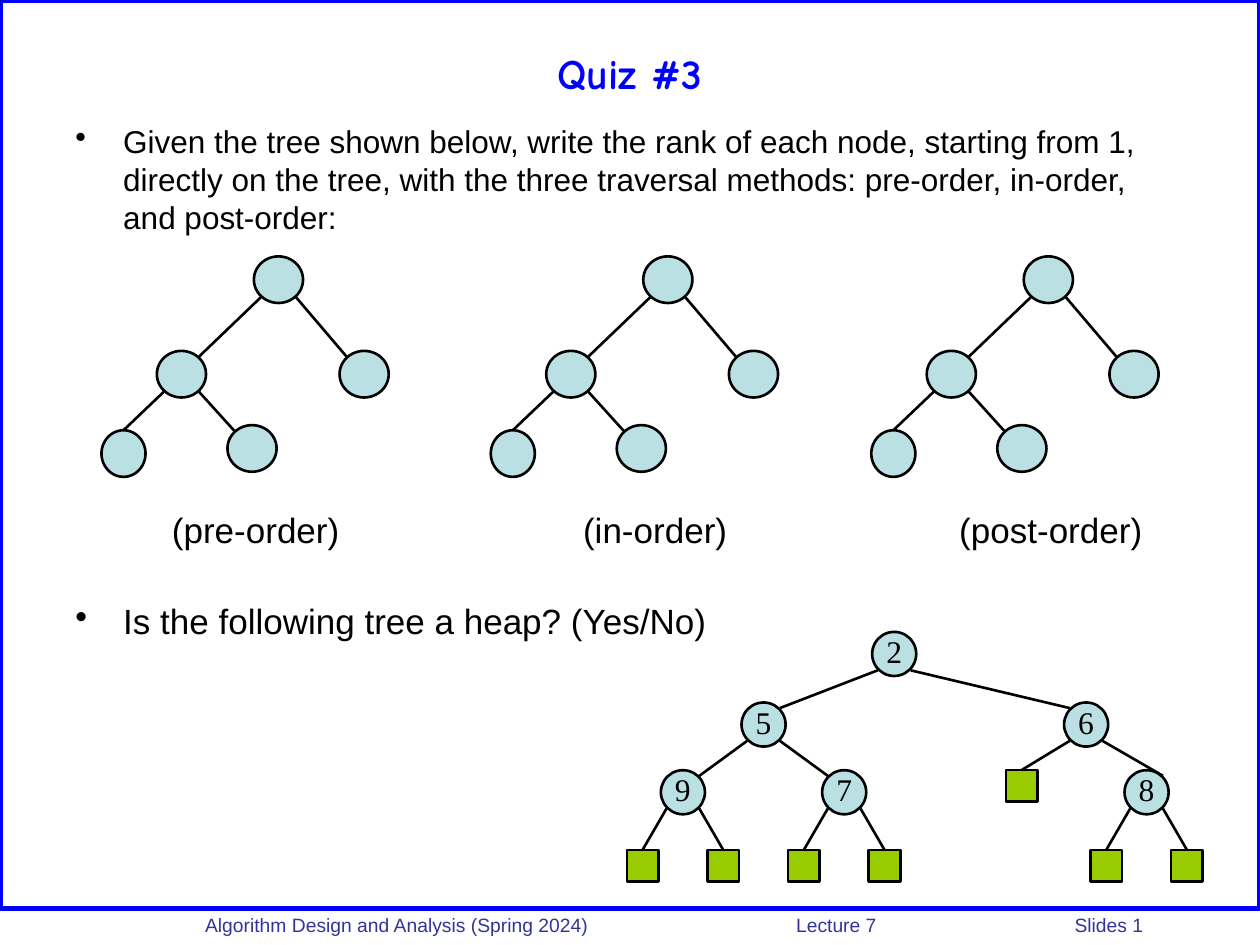
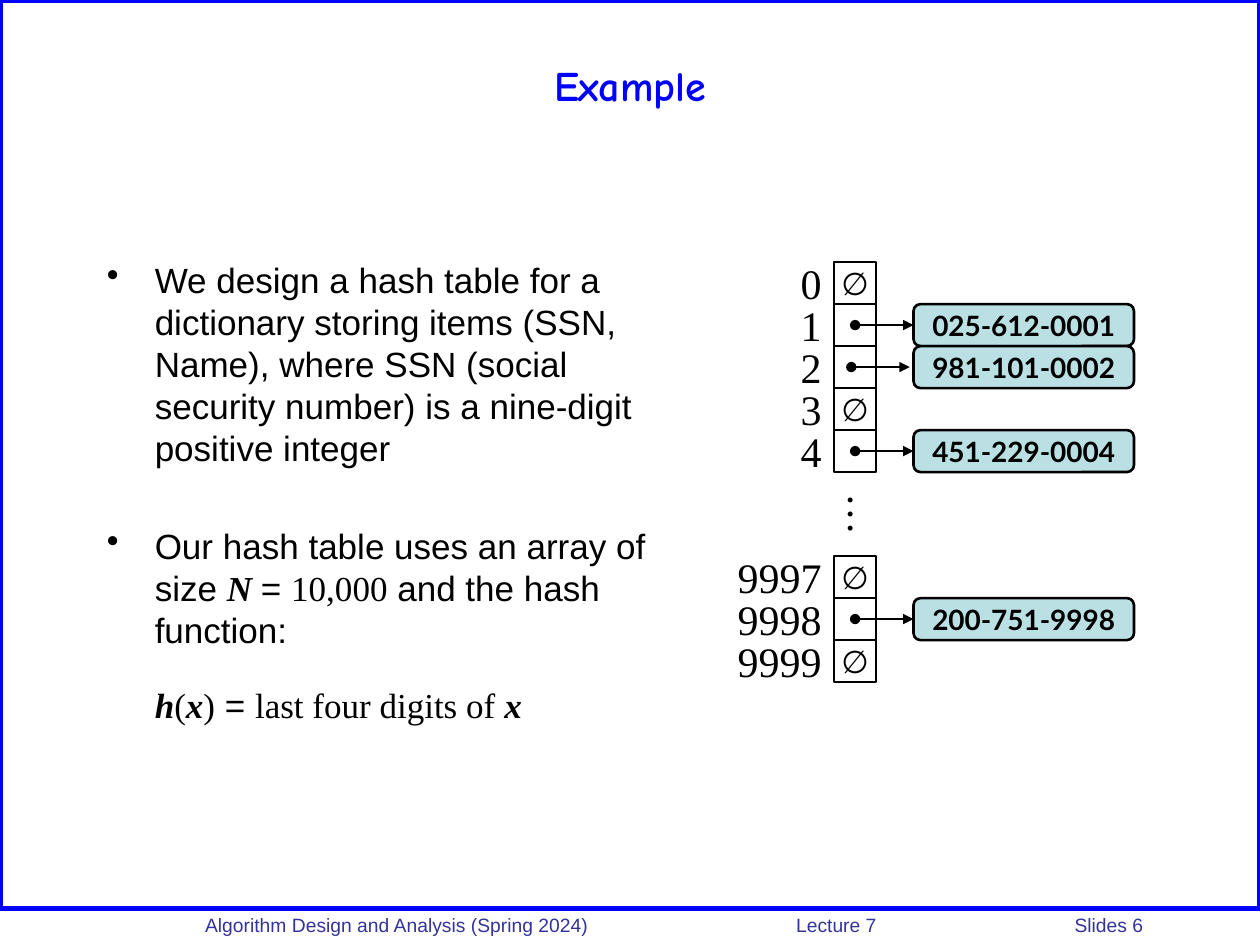
from lxml import etree
from pptx import Presentation
from pptx.dml.color import RGBColor
from pptx.enum.shapes import MSO_CONNECTOR, MSO_SHAPE
from pptx.enum.text import MSO_ANCHOR, PP_ALIGN
from pptx.oxml.ns import qn
from pptx.util import Inches, Pt

BLUE = RGBColor(0x00, 0x00, 0xFF)
NAVY = RGBColor(0x33, 0x33, 0x99)
BLACK = RGBColor(0x00, 0x00, 0x00)
AQUA = RGBColor(0xBB, 0xE0, 0xE3)
LIME = RGBColor(0x99, 0xCC, 0x00)

RECT = MSO_SHAPE.RECTANGLE
ROUND = MSO_SHAPE.ROUNDED_RECTANGLE
OVAL = MSO_SHAPE.OVAL
STRAIGHT = MSO_CONNECTOR.STRAIGHT
LEFT, CENTER, RIGHT = PP_ALIGN.LEFT, PP_ALIGN.CENTER, PP_ALIGN.RIGHT
TOP, MIDDLE = MSO_ANCHOR.TOP, MSO_ANCHOR.MIDDLE

SANS, SERIF, COMIC, LATO = "Arial", "Times New Roman", "Comic Neue", "Lato"
WIDE, HIGH = 10, 7.5
HANG = 0.38

SMALL = {
    "root": (12.3, 0, OVAL, 0.39, 0.37, ""),
    "right": (19.1, 5, OVAL, 0.39, 0.37, ""),
    "left": (4.6, 5, OVAL, 0.39, 0.37, ""),
    "inner": (10.2, 8.93, OVAL, 0.39, 0.37, ""),
    "leaf": (0, 9.2, OVAL, 0.35, 0.37, ""),
}
SMALL_LINKS = [
    ("root", "left", -1, 1), ("root", "right", 1, -1),
    ("left", "leaf", -1, 0), ("left", "inner", 1, -1),
]

HEAP = {
    key: (col, row, OVAL, 0.35, 0.35, key)
    for key, col, row in [
        ("2", 6.24, 0), ("5", 3, 1), ("6", 11, 1),
        ("9", 1, 1.96), ("7", 5, 1.96), ("8", 12.5, 1.96),
    ]
}
HEAP["6L"] = (9.4, 1.87, RECT, 0.25, 0.25, "")
HEAP_LINKS = [
    ("2", "5", -1, 1), ("2", "6", 1, -1),
    ("5", "9", -1, 1), ("5", "7", 1, -1),
    ("6", "6L", -1, 0), ("6", "8", 1, 1),
]
for key in "978":
    for tag, side in (("L", -1), ("R", 1)):
        HEAP[key + tag] = (HEAP[key][0] + side, 3, RECT, 0.25, 0.25, "")
        HEAP_LINKS.append((key, key + tag, side, 0))

ITEMS = [
    (0, "0", None, 0), (1, "1", "025-612-0001", 0),
    (2, "2", "981-101-0002", -0.03), (3, "3", None, 0),
    (4, "4", "451-229-0004", 0), (7, "9997", None, 0),
    (8, "9998", "200-751-9998", 0), (9, "9999", None, 0),
]


def inches(*sizes):
    return [Inches(size) for size in sizes]


def add_run(para, text, size, font=SANS, color=BLACK, bold=False, slant=False):
    run = para.add_run()
    run.text = text
    run.font.size = Pt(size)
    run.font.name = font
    run.font.color.rgb = color
    run.font.bold = bold
    run.font.italic = slant


def write(shape, text, size, font=SANS, align=CENTER, anchor=MIDDLE, **look):
    frame = shape.text_frame
    frame.word_wrap = False
    frame.vertical_anchor = anchor
    para = frame.paragraphs[0]
    para.alignment = align
    add_run(para, text, size, font, **look)


def add_form(slide, kind, box, fill=None, line=BLACK, width=1.5):
    shape = slide.shapes.add_shape(kind, *inches(*box))
    shape.shadow.inherit = False
    if fill is None:
        shape.fill.background()
    else:
        shape.fill.solid()
        shape.fill.fore_color.rgb = fill
    shape.line.color.rgb = line
    shape.line.width = Pt(width)
    return shape


def add_text(slide, box):
    return slide.shapes.add_textbox(*inches(*box))


def add_line(slide, start, end):
    line = slide.shapes.add_connector(STRAIGHT, *inches(*start, *end))
    line.line.color.rgb = BLACK
    line.line.width = Pt(1.5)
    etree.SubElement(line._element.spPr, qn("a:effectLst"))
    return line


def add_heads(line):
    stroke = line.line._get_or_add_ln()
    for tag, kind in (("a:headEnd", "oval"), ("a:tailEnd", "triangle")):
        etree.SubElement(stroke, qn(tag)).set("type", kind)


def add_body(slide, box, paras, size):
    frame = add_text(slide, box).text_frame
    frame.word_wrap = True
    for num, (bullet, gap, runs) in enumerate(paras):
        para = frame.add_paragraph() if num else frame.paragraphs[0]
        props = para._p.get_or_add_pPr()
        props.set("marL", str(Inches(HANG)))
        if bullet:
            props.set("indent", str(-Inches(HANG)))
            etree.SubElement(props, qn("a:buChar")).set("char", "•")
        para.line_spacing = Pt(size * 1.2)
        if gap:
            para.space_before = Pt(gap)
        for text, font, strong in runs:
            add_run(para, text, size, font, bold=strong, slant=strong)


def add_page(deck, title, top, number):
    slide = deck.slides.add_slide(deck.slide_layouts[5])
    add_form(slide, RECT, (0, 0, WIDE, 7.21), line=BLUE, width=3)
    add_footer(slide, (1.33, 7.2, 8.67, 0.26), number)
    head = slide.shapes.title
    head.left, head.top, head.width, head.height = inches(
        WIDE * 0.05, top, WIDE * 0.9, 1)
    write(head, title, 24, COMIC, color=BLUE, bold=True)
    return slide


def add_footer(slide, box, number):
    shape = add_text(slide, box)
    para = shape.text_frame.paragraphs[0]
    tabs = etree.SubElement(para._p.get_or_add_pPr(), qn("a:tabLst"))
    for stop in (0.2, 4.89, 7.1):
        tab = etree.SubElement(tabs, qn("a:tab"))
        tab.set("pos", str(Inches(stop)))
        tab.set("algn", "l")
    parts = ("Algorithm Design and Analysis (Spring 2024)", "Lecture 7",
             f"Slides {number}")
    write(shape, "".join("\t" + part for part in parts), 11,
          align=LEFT, anchor=TOP, color=NAVY)


def add_tree(slide, left, top, cell, nodes, links, reach):
    spots, forms = {}, {}
    for key, (col, row, kind, width, height, label) in nodes.items():
        x, y = left + col * cell[0], top + row * cell[1]
        box = (x - width / 2, y - height / 2, width, height)
        form = add_form(slide, kind, box, LIME if kind == RECT else AQUA)
        if label:
            frame = form.text_frame
            frame.margin_left = frame.margin_right = frame.margin_top = 0
            frame.margin_bottom = Inches(0.05)
            write(form, label, 18, SERIF)
        spots[key], forms[key] = (x, y), form
    for above, below, out, into in links:
        (x, y), (u, v) = spots[above], spots[below]
        line = add_line(slide, (x + out * reach, y + reach),
                        (u + into * reach, v - reach))
        if into == 0:
            line.end_connect(forms[below], 0)


def add_table(slide, left, top, step):
    for row, label, entry, shift in ITEMS:
        y = top + row * step
        cell = add_form(slide, RECT, (left, y, step, step))
        name = add_text(slide, (left - 0.87, y - step / 4, 0.87, step * 1.5))
        write(name, label, 24, SERIF, RIGHT, TOP)
        if entry is None:
            write(cell, "∅", 18, LATO)
            continue
        pill = add_form(slide, ROUND,
                        (left + 0.63, y, 1.75, step), AQUA)
        pill.adjustments[0] = 0.167
        write(pill, entry, 16, LATO, bold=True)
        mid = y + step / 2
        arrow = add_line(slide, (left + step / 2 + shift, mid),
                         (left + 0.63 + shift, mid))
        add_heads(arrow)
        if not shift:
            arrow.end_connect(pill, 1)
    dots = add_text(slide, (left - 0.02, top + 5.25 * step, 0.53, 0.5))
    dots.rotation = 90
    write(dots, "…", 24, SERIF, anchor=TOP)


def add_quiz(deck):
    slide = add_page(deck, "Quiz #3", 0.08, 1)
    ask = ("Given the tree shown below, write the rank of each node, starting "
           "from 1, directly on the tree, with the three traversal methods: "
           "pre-order, in-order, and post-order:")
    add_body(slide, (0.5, 0.92, 9, 1), [(True, 0, [(ask, SANS, False)])], 18)
    for left, middle, order in ((0.98, 2.03, "pre"), (4.07, 5.2, "in"),
                                (7.09, 8.34, "post")):
        add_tree(slide, left, 2.22, (0.1, 0.15), SMALL, SMALL_LINKS, 0.14)
        note = add_text(slide, (middle - 1, 4, 2, 0.4))
        write(note, f"({order}-order)", 20)
    add_body(slide, (0.5, 4.71, 6, 0.45),
             [(True, 0, [("Is the following tree a heap? (Yes/No)",
                          SANS, False)])], 20)
    add_tree(slide, 5.1, 5.19, (0.32, 0.56), HEAP, HEAP_LINKS, 0.13)


def add_sample(deck):
    slide = add_page(deck, "Example", 0.17, 6)
    first = ("We design a hash table for a dictionary storing items (SSN, "
             "Name), where SSN (social security number) is a nine-digit "
             "positive integer")
    add_body(slide, (0.75, 2, 4.75, 4.83), [
        (True, 0, [(first, SANS, False)]),
        (True, 32, [
            ("Our hash table uses an array of size ", SANS, False),
            ("N ", SERIF, True), ("= ", SANS, False),
            ("10,000", SERIF, False),
            (" and the hash function:", SANS, False)]),
        (False, 19, [
            ("h", SERIF, True), ("(", SERIF, False), ("x", SERIF, True),
            (")", SERIF, False), (" = ", SANS, False),
            ("last four digits of ", SERIF, False), ("x", SERIF, True)]),
    ], 20)
    add_table(slide, 6.62, 2.08, 1 / 3)


def main():
    deck = Presentation()
    deck.slide_width, deck.slide_height = inches(WIDE, HIGH)
    add_quiz(deck)
    add_sample(deck)
    deck.save("out.pptx")


if __name__ == "__main__":
    main()
